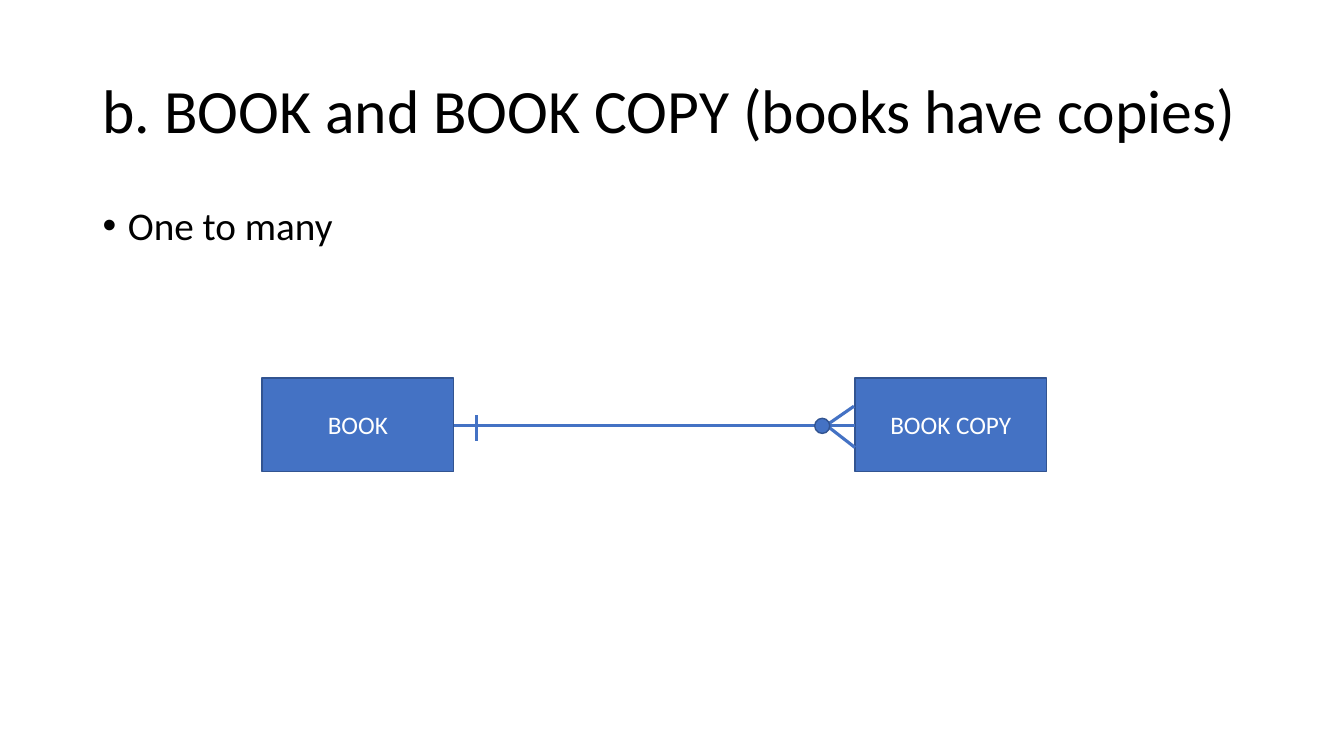
from typing import NamedTuple

from lxml.etree import SubElement
from pptx import Presentation
from pptx.dml.color import RGBColor
from pptx.enum.shapes import MSO_CONNECTOR, MSO_SHAPE
from pptx.enum.text import MSO_ANCHOR, PP_ALIGN
from pptx.oxml.ns import qn
from pptx.util import Inches, Pt

FONT = "Calibri"
BLACK, WHITE = "000000", "FFFFFF"
BLUE, DARK_BLUE = "4472C4", "325491"
ENTITY_TOP, ENTITY_WIDTH, ENTITY_HEIGHT = 3.75, 1.9, 0.93
AXIS = 4.22


class Entity(NamedTuple):
    """An entity box of the diagram, placed by its left edge."""
    name: str
    left: float


class Stroke(NamedTuple):
    """A straight line of the relationship, in inches."""
    start_x: float
    start_y: float
    end_x: float
    end_y: float


BOOK = Entity("BOOK", 2.6)
BOOK_COPY = Entity("BOOK COPY", 8.48)
BOOK_RIGHT = BOOK.left + ENTITY_WIDTH
STROKES = [
    Stroke(BOOK_RIGHT, AXIS, BOOK_COPY.left, AXIS),
    Stroke(4.73, 4.12, 4.73, 4.38),
    Stroke(8.21, 4.21, 8.47, 4.03),
    Stroke(8.21, 4.23, BOOK_COPY.left, 4.44),
]


def color(value: str) -> RGBColor:
    """Turn a hex string into a colour."""
    return RGBColor.from_string(value)


def style_text(paragraph, size: float, text_color: str) -> None:
    """Set the font of every run in a paragraph."""
    for run in paragraph.runs:
        run.font.name = FONT
        run.font.size = Pt(size)
        run.font.color.rgb = color(text_color)


def add_text(slide, text: str, top: float, height: float, size: float,
             anchor=MSO_ANCHOR.TOP):
    """Add a full-width text box and return its paragraph."""
    box = slide.shapes.add_textbox(Inches(0.92), Inches(top),
                                   Inches(11.5), Inches(height))
    text_frame = box.text_frame
    text_frame.word_wrap = True
    text_frame.vertical_anchor = anchor
    text_frame.text = text
    paragraph = text_frame.paragraphs[0]
    paragraph.line_spacing = 0.9
    style_text(paragraph, size, BLACK)
    return paragraph


def add_bullet(paragraph) -> None:
    """Give a paragraph a round bullet with a hanging indent."""
    properties = paragraph._p.get_or_add_pPr()
    properties.set("marL", str(Inches(0.25)))
    properties.set("indent", str(Inches(-0.25)))
    SubElement(properties, qn("a:buFont")).set("typeface", "Arial")
    SubElement(properties, qn("a:buChar")).set("char", "•")


def add_blue_shape(slide, kind, left: float, top: float, width: float,
                   height: float):
    """Add a blue preset shape with a dark outline."""
    shape = slide.shapes.add_shape(kind, Inches(left), Inches(top),
                                   Inches(width), Inches(height))
    shape.shadow.inherit = False
    shape.fill.solid()
    shape.fill.fore_color.rgb = color(BLUE)
    shape.line.color.rgb = color(DARK_BLUE)
    shape.line.width = Pt(1)
    return shape


def add_entity(slide, entity: Entity) -> None:
    """Draw an entity box with its name in the middle."""
    shape = add_blue_shape(slide, MSO_SHAPE.RECTANGLE, entity.left,
                           ENTITY_TOP, ENTITY_WIDTH, ENTITY_HEIGHT)
    text_frame = shape.text_frame
    text_frame.word_wrap = True
    text_frame.vertical_anchor = MSO_ANCHOR.MIDDLE
    text_frame.text = entity.name
    paragraph = text_frame.paragraphs[0]
    paragraph.alignment = PP_ALIGN.CENTER
    style_text(paragraph, 18, WHITE)


def add_stroke(slide, stroke: Stroke) -> None:
    """Draw one straight line without a shadow."""
    connector = slide.shapes.add_connector(
        MSO_CONNECTOR.STRAIGHT, *(Inches(value) for value in stroke))
    connector.line.color.rgb = color(BLUE)
    connector.line.width = Pt(2.25)
    SubElement(connector._element.spPr, qn("a:effectLst"))


def main() -> None:
    """Build the slide and save it."""
    presentation = Presentation()
    presentation.slide_width = Inches(13.33)
    presentation.slide_height = Inches(7.5)
    slide = presentation.slides.add_slide(presentation.slide_layouts[6])

    add_text(slide, "b. BOOK and BOOK COPY (books have copies)",
             0.4, 1.45, 44, MSO_ANCHOR.MIDDLE)
    cardinality = add_text(slide, "One to many", 2, 4.76, 28)
    cardinality.space_before = Pt(10)
    add_bullet(cardinality)

    for entity in (BOOK, BOOK_COPY):
        add_entity(slide, entity)
    for stroke in STROKES:
        add_stroke(slide, stroke)
    add_blue_shape(slide, MSO_SHAPE.OVAL, 8.08, 4.15, 0.15, 0.15)

    presentation.save("out.pptx")


main()
